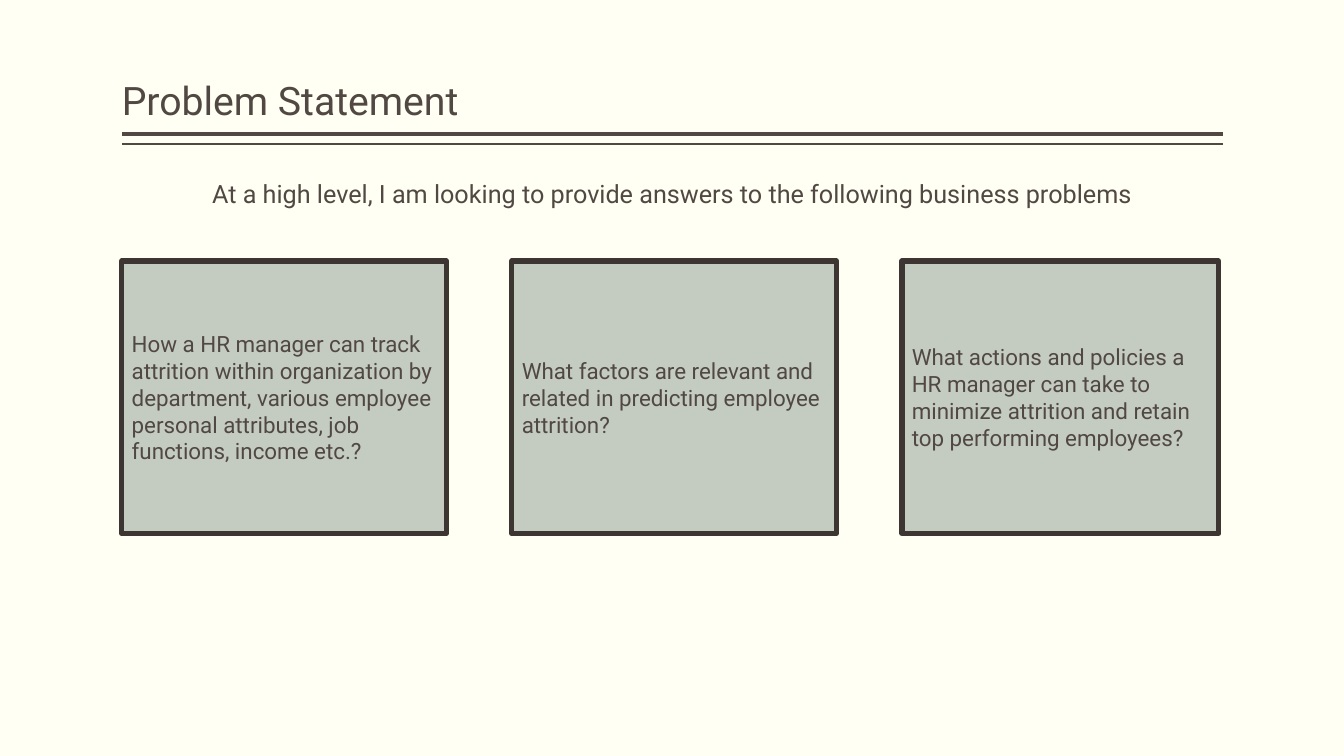
import pptx
import pptx.util
import pptx.dml.color
import pptx.enum.shapes
import pptx.enum.text
import pptx.oxml.ns
import lxml.etree
from pptx.util import Cm

ANCHOR = pptx.enum.text.MSO_ANCHOR
ALIGN = pptx.enum.text.PP_ALIGN


def rgb(value):
    return pptx.dml.color.RGBColor.from_string(value)


class Deck:
    """Hold the slide style and draw each kind of element on the current slide."""

    font, ink, paper = "Roboto", "514843", "FFFFF3"
    box_fill, box_line = "C4CCC1", "3C3532"

    def __init__(self, prs):
        self.s = prs.slides.add_slide(prs.slide_layouts[6])
        self.s.background.fill.solid()
        self.s.background.fill.fore_color.rgb = rgb(self.paper)

    def fill_text(self, tf, text, size, anchor, align=ALIGN.LEFT, spacing=1.0):
        tf.word_wrap = True
        tf.vertical_anchor = anchor
        p = tf.paragraphs[0]
        p.text = text
        p.alignment = align
        p.line_spacing = spacing
        p.font.name = self.font
        p.font.size = pptx.util.Pt(size)
        p.font.color.rgb = rgb(self.ink)

    def text(self, x, y, w, h, text, size, anchor, align=ALIGN.LEFT):
        tf = self.s.shapes.add_textbox(Cm(x), Cm(y), Cm(w), Cm(h)).text_frame
        tf.margin_left = tf.margin_right = 0
        self.fill_text(tf, text, size, anchor, align, 0.9)

    def rule(self, x, y, w, weight):
        sp = self.s.shapes.add_connector(
            pptx.enum.shapes.MSO_CONNECTOR.STRAIGHT, Cm(x), Cm(y), Cm(x + w), Cm(y))
        sp.line.width = pptx.util.Pt(weight)
        sp.line.color.rgb = rgb(self.ink)
        lxml.etree.SubElement(sp.element.spPr, pptx.oxml.ns.qn("a:effectLst"))

    def box(self, x, y, w, h, text):
        sp = self.s.shapes.add_shape(
            pptx.enum.shapes.MSO_SHAPE.FLOWCHART_PROCESS, Cm(x), Cm(y), Cm(w), Cm(h))
        sp.shadow.inherit = False
        sp.fill.solid()
        sp.fill.fore_color.rgb = rgb(self.box_fill)
        sp.line.color.rgb = rgb(self.box_line)
        sp.line.width = pptx.util.Pt(3.78)
        self.fill_text(sp.text_frame, text, 16, ANCHOR.MIDDLE)


prs = pptx.Presentation()
prs.slide_width, prs.slide_height = Cm(33.87), Cm(19.05)
deck = Deck(prs)

left, width = 3.07, 27.74
deck.text(left, 0.2, width, 3.05, "Problem Statement", 28, ANCHOR.BOTTOM)
for y, weight in ((3.38, 3), (3.63, 1)):
    deck.rule(left, y, width, weight)
deck.text(left, 4.45, width, 2.1,
          "At a high level, I am looking to provide answers to the following business problems",
          18, ANCHOR.TOP, ALIGN.CENTER)

problems = (
    (8.18, "How a HR manager can track attrition within organization by department, "
           "various employee personal attributes, job functions, income etc.?"),
    (8.18, "What factors are relevant and related in predicting employee attrition?"),
    (7.98, "What actions and policies a HR manager can take to minimize attrition "
           "and retain top performing employees?"),
)
pitch = 9.83
for i, (box_width, problem) in enumerate(problems):
    deck.box(left + i * pitch, 6.58, box_width, 6.86, problem)

prs.save("out.pptx")
